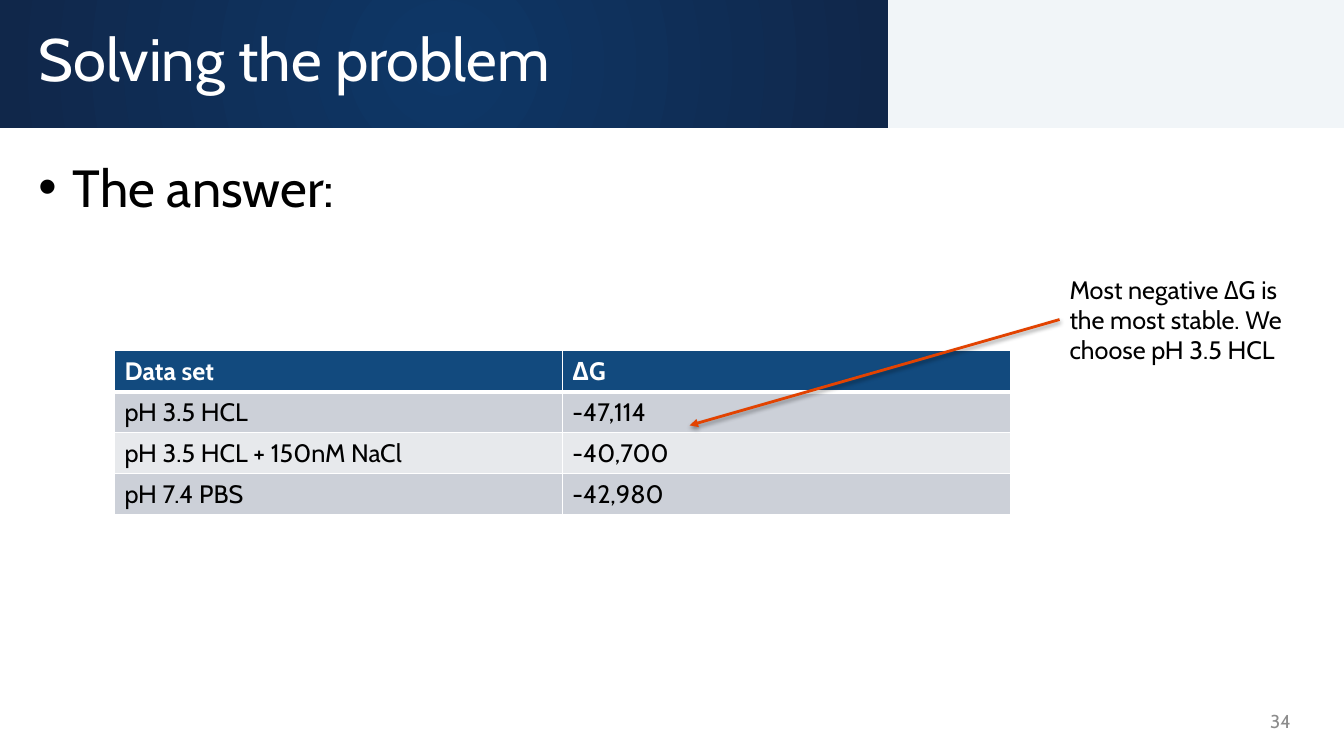
from dataclasses import dataclass

from lxml import etree
from pptx import Presentation
from pptx import util as u
from pptx.dml.color import RGBColor
from pptx.enum import shapes, text
from pptx.oxml import ns


@dataclass(frozen=True)
class Theme:
    font: str = "Cabin"
    white: str = "FFFFFF"
    black: str = "000000"
    grey: str = "8C8C8C"
    pale: str = "F0F4F8"
    glow: str = "0E3767"
    navy: str = "10274A"
    head: str = "124A7E"
    bands: tuple = ("CCD0D8", "E7E9EC")
    arrow: str = "E24301"
    title: float = 42.7
    body: float = 37.3
    text: float = 18
    small: float = 13.3


T = Theme()
WIDE, HIGH = u.Inches(13.33), u.Inches(7.5)
ROWS = (
    ("Data set", "ΔG"),
    ("pH 3.5 HCL", "-47,114"),
    ("pH 3.5 HCL + 150nM NaCl", "-40,700"),
    ("pH 7.4 PBS", "-42,980"),
)


def share(x, y, w, h):
    """Turn percentages of the slide's width and height into lengths."""
    return [u.Emu(int(size * part / 100))
            for size, part in zip((WIDE, HIGH, WIDE, HIGH), (x, y, w, h))]


def node(root, tag, **attrs):
    item = etree.SubElement(root, ns.qn(tag))
    for key, value in attrs.items():
        item.set(key, str(value))
    return item


def write(frame, words, size, color, bold=False, align=text.PP_ALIGN.LEFT):
    para = frame.paragraphs[0]
    para.alignment = align
    run = para.add_run()
    run.text = words
    font = run.font
    font.name, font.size, font.bold = T.font, u.Pt(size), bold
    font.color.rgb = RGBColor.from_string(color)
    return para


def place(shape, box):
    shape.left, shape.top, shape.width, shape.height = share(*box)
    shape.text_frame.auto_size = text.MSO_AUTO_SIZE.NONE
    return shape.text_frame


def panel(slide, box):
    shape = slide.shapes.add_shape(shapes.MSO_SHAPE.RECTANGLE, *share(*box))
    shape.shadow.inherit = False
    shape.line.fill.background()
    return shape


def banner(slide):
    # Pale, slightly clear strip on the right
    strip = panel(slide, (66.1, 0, 33.9, 16.93))
    strip.fill.solid()
    strip.fill.fore_color.rgb = RGBColor.from_string(T.pale)
    tint = strip.fill._xPr.find(".//" + ns.qn("a:srgbClr"))
    node(tint, "a:alpha", val=90000)

    # Navy block with a round glow
    block = panel(slide, (0, 0, 66.1, 16.93))
    block.fill.gradient()
    for stop, color in zip(block.fill.gradient_stops, (T.glow, T.navy)):
        stop.color.rgb = RGBColor.from_string(color)
    grad = block.fill._xPr.find(ns.qn("a:gradFill"))
    grad.remove(grad.find(ns.qn("a:lin")))
    round_ = node(grad, "a:path", path="circle")
    node(round_, "a:fillToRect", l=50000, t=50000, r=50000, b=50000)

    # Keep the placeholders in front
    tree = slide.shapes._spTree
    for spot, shape in enumerate((strip, block), 2):
        tree.insert(spot, shape._element)


def heading(slide, words):
    frame = place(slide.shapes.title, (2.1, 1.33, 61.97, 14.4))
    frame.vertical_anchor = text.MSO_ANCHOR.MIDDLE
    write(frame, words, T.title, T.white).line_spacing = 0.8


def bullet(slide, words):
    frame = place(slide.placeholders[1], (2.1, 19.87, 94.67, 68.4))
    props = write(frame, words, T.body, T.black)._p.get_or_add_pPr()
    props.set("marL", str(u.Inches(0.34)))
    props.set("indent", str(-u.Inches(0.34)))
    node(node(props, "a:spcBef"), "a:spcPct", val=20000)
    node(props, "a:buFont", typeface="Arial")
    node(props, "a:buChar", char="•")


def label(slide, box, words, size, color, align=text.PP_ALIGN.LEFT,
          anchor=text.MSO_ANCHOR.TOP):
    frame = slide.shapes.add_textbox(*share(*box)).text_frame
    frame.word_wrap = True
    frame.vertical_anchor = anchor
    write(frame, words, size, color, align=align)


def edge(cell, side, width):
    line = etree.Element(ns.qn("a:ln" + side), w=str(u.Pt(width)))
    node(node(line, "a:solidFill"), "a:srgbClr", val=T.white)
    return line


def grid(slide, rows):
    box = share(8.52, 46.4, 66.65, 5.42 * len(rows))
    table = slide.shapes.add_table(len(rows), len(rows[0]), *box).table
    for r, row in enumerate(rows):
        top = r == 0
        for c, words in enumerate(row):
            cell = table.cell(r, c)
            write(cell.text_frame, words, T.text,
                  T.white if top else T.black, bold=top)
            cell.fill.solid()
            color = T.head if top else T.bands[(r - 1) % 2]
            cell.fill.fore_color.rgb = RGBColor.from_string(color)
            # White rules, thick under the header row
            widths = {"L": 1, "R": 1, "T": 3 if r == 1 else 1,
                      "B": 3 if top else 1}
            props = cell._tc.get_or_add_tcPr()
            for spot, (side, width) in enumerate(widths.items()):
                props.insert(spot, edge(cell, side, width))


def arrow(slide, ends):
    link = slide.shapes.add_connector(
        shapes.MSO_CONNECTOR.STRAIGHT, *share(*ends))
    link.line.width = u.Pt(2)
    link.line.color.rgb = RGBColor.from_string(T.arrow)
    node(link.line._get_or_add_ln(), "a:tailEnd", type="triangle")
    # Soft shadow straight below
    fx = node(link._element.spPr, "a:effectLst")
    shade = node(fx, "a:outerShdw", blurRad=u.Pt(3.1), dist=u.Pt(1.6),
                 dir=5400000, rotWithShape=0)
    tint = node(shade, "a:srgbClr", val=T.black)
    node(tint, "a:alpha", val=38000)


def main():
    deck = Presentation()
    deck.slide_width, deck.slide_height = WIDE, HIGH
    slide = deck.slides.add_slide(deck.slide_layouts[1])

    # Header and body
    banner(slide)
    heading(slide, "Solving the problem")
    bullet(slide, "The answer:")

    # Results and the remark that points to the best one
    grid(slide, ROWS)
    label(slide, (78.84, 35.6, 17.93, 13.47),
          "Most negative ΔG is the most stable. We choose pH 3.5 HCL",
          T.text, T.black)
    arrow(slide, (78.84, 42.27, 51.31, 56.27))

    # Page number
    label(slide, (71.12, 92.67, 25.66, 5.33), "34", T.small, T.grey,
          text.PP_ALIGN.RIGHT, text.MSO_ANCHOR.MIDDLE)
    deck.save("out.pptx")


if __name__ == "__main__":
    main()
